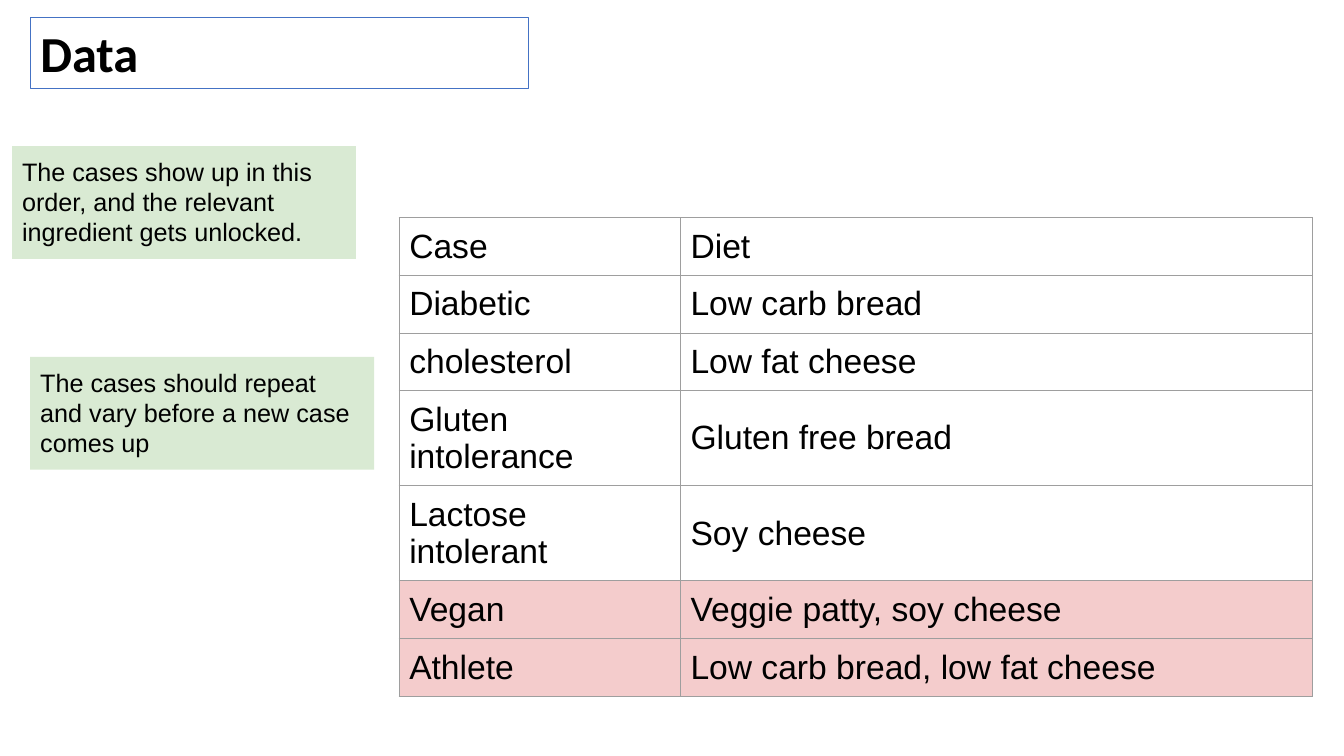
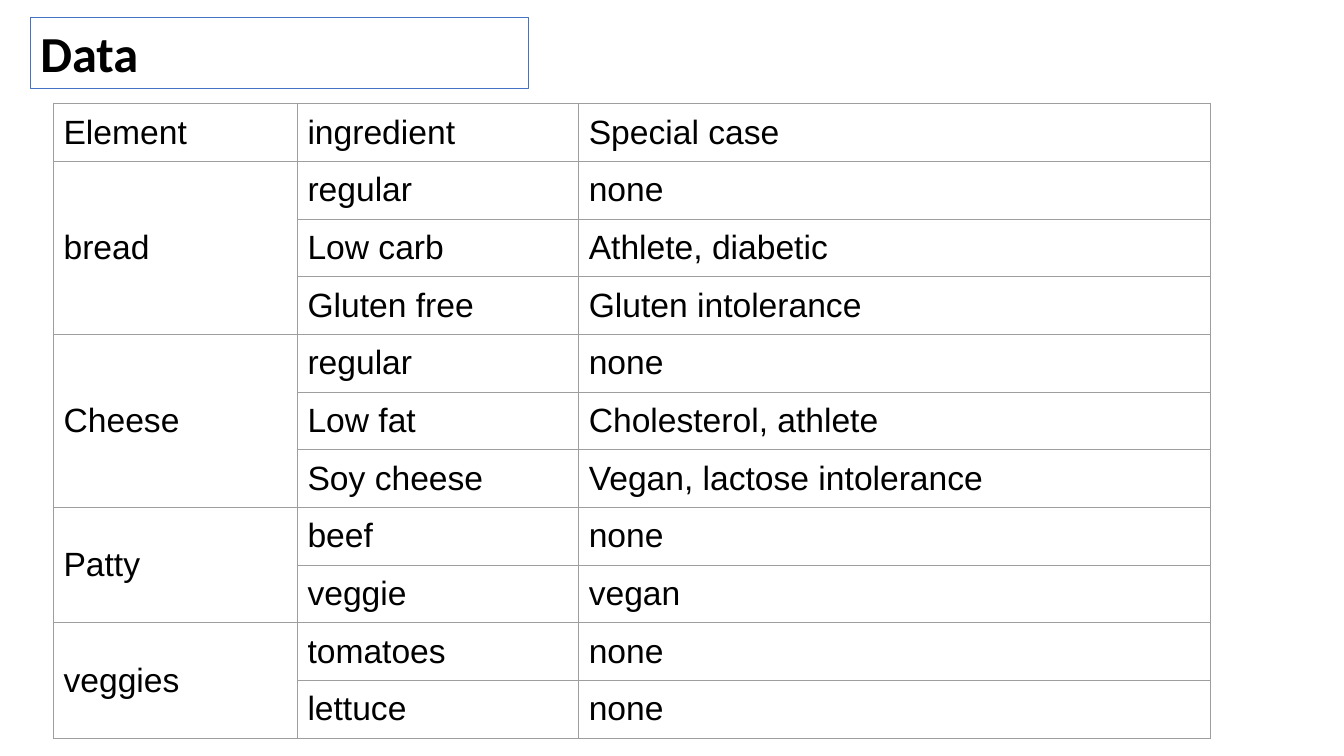
from dataclasses import dataclass

from lxml import etree
from pptx import Presentation
from pptx.dml.color import RGBColor
from pptx.enum.shapes import MSO_SHAPE
from pptx.enum.text import MSO_ANCHOR, MSO_AUTO_SIZE, PP_ALIGN
from pptx.oxml.ns import qn
from pptx.util import Inches, Pt

RECT = MSO_SHAPE.RECTANGLE
TOP, MIDDLE = MSO_ANCHOR.TOP, MSO_ANCHOR.MIDDLE
LEFT = PP_ALIGN.LEFT
NO_FIT = MSO_AUTO_SIZE.NONE

WIDTH, HEIGHT = Inches(13.33), Inches(7.5)
TITLE_ONLY = 5
COLORS = {
    "text": "000000",
    "title_line": "4472C4",
    "border": "9E9E9E",
    "note": "D9EAD3",
    "highlight": "F4CCCC",
}
LINE = Pt(0.75)
PAD = Inches(0.1)
ELEMENT_COL, NAME_COL, DETAIL_COL = 18.15, 20.93, 47.04
ROW = 6.67


@dataclass(frozen=True)
class Box:
    """Percentages of the slide's width and height."""

    x: float
    y: float
    w: float
    h: float

    def emu(self) -> tuple[int, int, int, int]:
        return across(self.x), down(self.y), across(self.w), down(self.h)


@dataclass(frozen=True)
class Note:
    text: str
    box: Box


@dataclass(frozen=True)
class Grid:
    x: float
    y: float
    cols: tuple[float, ...]
    rows: tuple[tuple[str, ...], ...]
    highlighted: tuple[int, ...] = ()


@dataclass(frozen=True)
class Page:
    title: str
    grid: Grid
    notes: tuple[Note, ...] = ()


TITLE_BOX = Box(2.25, 2.27, 37.05, 9.47)
PAGES = (
    Page(
        "Data",
        Grid(
            29.7, 28.8, (NAME_COL, DETAIL_COL),
            (
                ("Case", "Diet"),
                ("Diabetic", "Low carb bread"),
                ("cholesterol", "Low fat cheese"),
                ("Gluten intolerance", "Gluten free bread"),
                ("Lactose intolerant", "Soy cheese"),
                ("Vegan", "Veggie patty, soy cheese"),
                ("Athlete", "Low carb bread, low fat cheese"),
            ),
            highlighted=(5, 6),
        ),
        (
            Note("The cases show up in this order, and the relevant ingredient gets unlocked.",
                 Box(0.9, 19.33, 25.58, 14.93)),
            Note("The cases should repeat and vary before a new case comes up",
                 Box(2.25, 47.2, 25.58, 14.93)),
        ),
    ),
    Page(
        "Data",
        Grid(
            3.98, 13.73, (ELEMENT_COL, NAME_COL, DETAIL_COL),
            (
                ("Element", "ingredient", "Special case"),
                ("bread", "regular", "none"),
                ("", "Low carb", "Athlete, diabetic"),
                ("", "Gluten free", "Gluten intolerance"),
                ("Cheese", "regular", "none"),
                ("", "Low fat", "Cholesterol, athlete"),
                ("", "Soy cheese", "Vegan, lactose intolerance"),
                ("Patty", "beef", "none"),
                ("", "veggie", "vegan"),
                ("veggies", "tomatoes", "none"),
                ("", "lettuce", "none"),
            ),
        ),
    ),
)


def across(share: float) -> int:
    return round(WIDTH * share / 100)


def down(share: float) -> int:
    return round(HEIGHT * share / 100)


def rgb(name: str) -> RGBColor:
    return RGBColor.from_string(COLORS[name])


def write(tf, text: str, size: int, font: str = "Arial", bold: bool = False) -> None:
    tf.text = text
    p = tf.paragraphs[0]
    p.alignment = LEFT
    p.font.name = font
    p.font.size = Pt(size)
    p.font.bold = bold
    p.font.color.rgb = rgb("text")


def set_frame(tf, pad_y: int) -> None:
    tf.word_wrap = True
    tf.auto_size = NO_FIT
    tf.vertical_anchor = TOP
    tf.margin_left = tf.margin_right = PAD
    tf.margin_top = tf.margin_bottom = pad_y


def add_title(s, text: str) -> None:
    sp = s.shapes.title
    sp.left, sp.top, sp.width, sp.height = TITLE_BOX.emu()
    sp.line.color.rgb = rgb("title_line")
    sp.line.width = LINE
    set_frame(sp.text_frame, PAD // 2)
    write(sp.text_frame, text, 36, "Calibri", True)


def add_note(s, note: Note) -> None:
    sp = s.shapes.add_shape(RECT, *note.box.emu())
    sp.shadow.inherit = False
    sp.fill.solid()
    sp.fill.fore_color.rgb = rgb("note")
    sp.line.fill.background()
    set_frame(sp.text_frame, PAD)
    write(sp.text_frame, note.text, 18)


def set_borders(cell) -> None:
    tc_pr = cell._tc.get_or_add_tcPr()
    for i, side in enumerate(("lnL", "lnR", "lnT", "lnB")):
        ln = etree.Element(qn(f"a:{side}"), w=str(LINE))
        fill = etree.SubElement(ln, qn("a:solidFill"))
        etree.SubElement(fill, qn("a:srgbClr"), val=COLORS["border"])
        tc_pr.insert(i, ln)


def format_cell(cell, text: str, highlighted: bool) -> None:
    if highlighted:
        cell.fill.solid()
        cell.fill.fore_color.rgb = rgb("highlight")
    else:
        cell.fill.background()
    cell.vertical_anchor = MIDDLE
    cell.margin_left = cell.margin_right = PAD
    cell.margin_top = cell.margin_bottom = PAD
    set_borders(cell)
    write(cell.text_frame, text, 24)


def merge_groups(table, rows: tuple[tuple[str, ...], ...]) -> None:
    starts = [i for i, row in enumerate(rows) if row[0]]
    for start, end in zip(starts, starts[1:] + [len(rows)]):
        if end - start > 1:
            table.cell(start, 0).merge(table.cell(end - 1, 0))


def add_grid(s, grid: Grid) -> None:
    box = Box(grid.x, grid.y, sum(grid.cols), ROW * len(grid.rows))
    table = s.shapes.add_table(len(grid.rows), len(grid.cols), *box.emu()).table
    table.first_row = table.horz_banding = False
    for col, share in zip(table.columns, grid.cols):
        col.width = across(share)
    for i, row in enumerate(grid.rows):
        table.rows[i].height = down(ROW)
        for j, text in enumerate(row):
            format_cell(table.cell(i, j), text, i in grid.highlighted)
    merge_groups(table, grid.rows)


def main() -> None:
    prs = Presentation()
    prs.slide_width, prs.slide_height = WIDTH, HEIGHT
    for page in PAGES:
        s = prs.slides.add_slide(prs.slide_layouts[TITLE_ONLY])
        add_title(s, page.title)
        add_grid(s, page.grid)
        for note in page.notes:
            add_note(s, note)
    prs.save("out.pptx")


if __name__ == "__main__":
    main()
